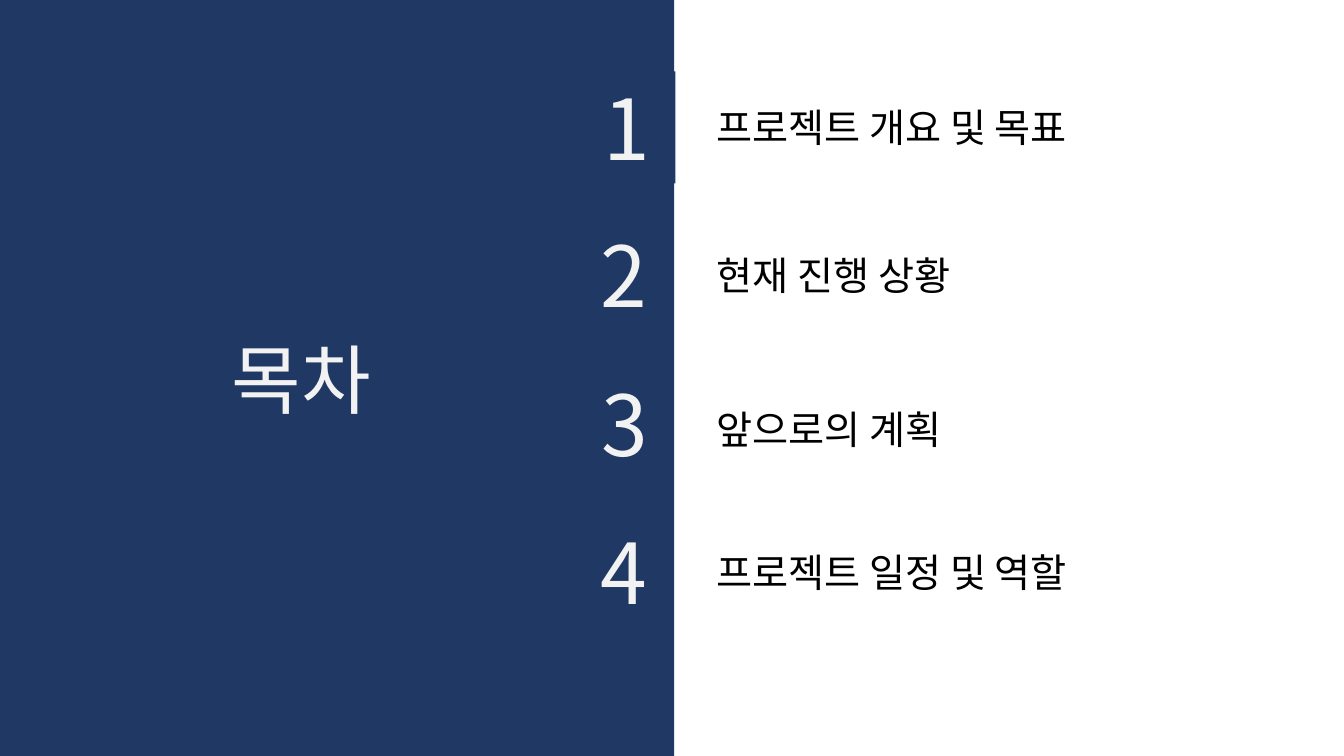
from dataclasses import dataclass

from lxml.etree import SubElement
from pptx import Presentation
from pptx.dml.color import RGBColor
from pptx.enum.shapes import MSO_SHAPE
from pptx.enum.text import MSO_ANCHOR, MSO_AUTO_SIZE, PP_ALIGN
from pptx.oxml.ns import qn
from pptx.shapes.autoshape import Shape
from pptx.slide import Slide
from pptx.util import Cm, Pt

COLORS = {"navy": "203864", "pale": "F2F2F2", "black": "000000"}
FONT = "Noto Sans CJK KR"
ITEM_LEFT = 17.81
ITEM_HEIGHT = 1.45
NUMBER_WIDTH = 2.06
NUMBER_HEIGHT = 2.82


@dataclass(frozen=True)
class AgendaEntry:
    number: str
    number_left: float
    number_top: float
    item: str
    item_top: float
    item_width: float


ENTRIES = [
    AgendaEntry("1", 14.96, 1.8, "프로젝트 개요 및 목표", 2.49, 9.75),
    AgendaEntry("2", 14.88, 5.51, "현재 진행 상황", 6.2, 6.65),
    AgendaEntry("3", 14.91, 9.25, "앞으로의 계획", 10.08, 6.43),
    AgendaEntry("4", 14.88, 13.0, "프로젝트 일정 및 역할", 13.69, 10.03),
]


def paint(shape: Shape, color: str) -> None:
    """Give a shape a plain fill without an outline."""
    shape.fill.solid()
    shape.fill.fore_color.rgb = RGBColor.from_string(COLORS[color])
    shape.line.fill.background()


def add_block(page: Slide, left: float, top: float, width: float, height: float) -> Shape:
    """Add a navy rectangle without a shadow."""
    block = page.shapes.add_shape(MSO_SHAPE.RECTANGLE, Cm(left), Cm(top), Cm(width), Cm(height))
    block.shadow.inherit = False
    paint(block, "navy")
    return block


def write(box: Shape, text: str, size: int, color: str) -> None:
    """Put one left-aligned line of text in a box."""
    frame = box.text_frame
    frame.text = text
    frame.word_wrap = False
    frame.auto_size = MSO_AUTO_SIZE.SHAPE_TO_FIT_TEXT
    frame.vertical_anchor = MSO_ANCHOR.TOP
    para = frame.paragraphs[0]
    para.alignment = PP_ALIGN.LEFT
    para.line_spacing = 1.0
    span = para.runs[0]
    span.font.name = FONT
    span.font.size = Pt(size)
    span.font.color.rgb = RGBColor.from_string(COLORS[color])
    SubElement(span.font._element, qn("a:ea"), typeface=FONT)


def add_title(page: Slide, panel: Shape) -> None:
    """Place the title on top of the side panel."""
    title = page.shapes.title
    title.left, title.top, title.width, title.height = Cm(5.59), Cm(8.26), Cm(4.17), Cm(2.57)
    paint(title, "navy")
    write(title, "목차", 54, "pale")
    title.element.addprevious(panel.element)


def add_entry(page: Slide, entry: AgendaEntry) -> None:
    """Add the number and the wording of one agenda entry."""
    number = add_block(page, entry.number_left, entry.number_top, NUMBER_WIDTH, NUMBER_HEIGHT)
    write(number, entry.number, 60, "pale")
    item = page.shapes.add_textbox(
        Cm(ITEM_LEFT), Cm(entry.item_top), Cm(entry.item_width), Cm(ITEM_HEIGHT)
    )
    write(item, entry.item, 28, "black")


def main() -> None:
    """Build the agenda slide."""
    deck = Presentation()
    deck.slide_width, deck.slide_height = Cm(33.87), Cm(19.05)
    page = deck.slides.add_slide(deck.slide_layouts[5])
    panel = add_block(page, -0.36, -0.97, 17.35, 20.98)
    add_title(page, panel)
    for entry in ENTRIES:
        add_entry(page, entry)
    deck.save("out.pptx")


if __name__ == "__main__":
    main()
